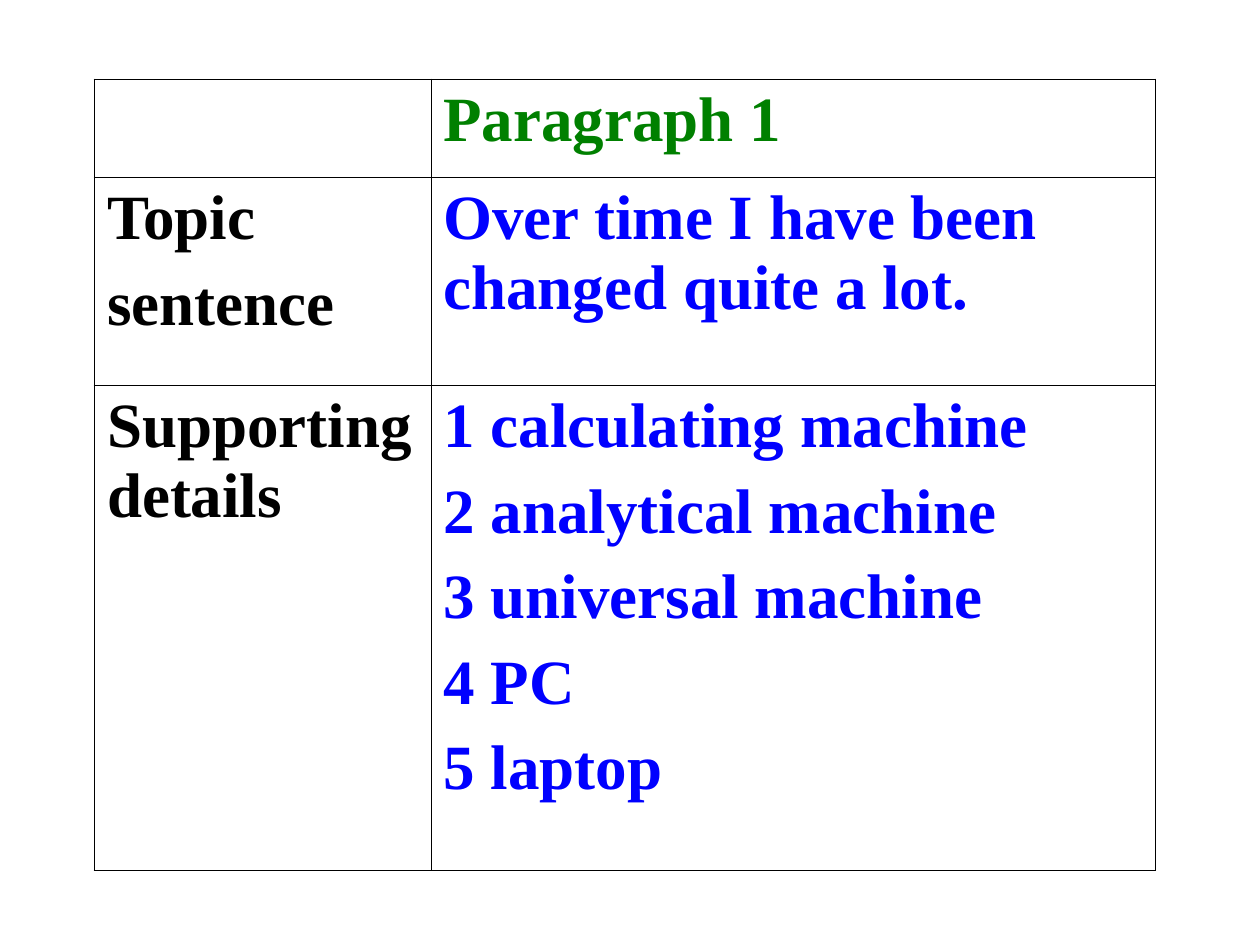
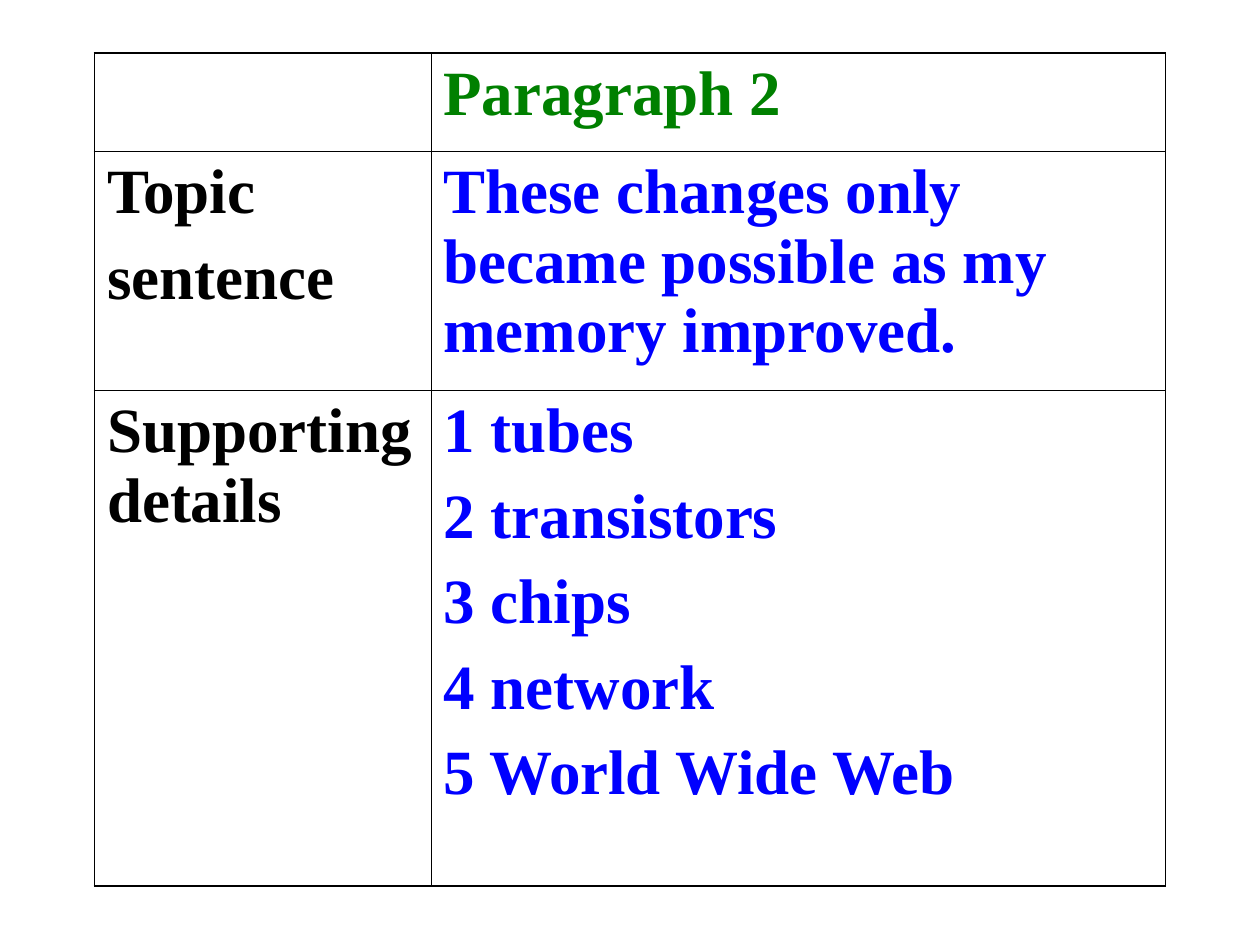
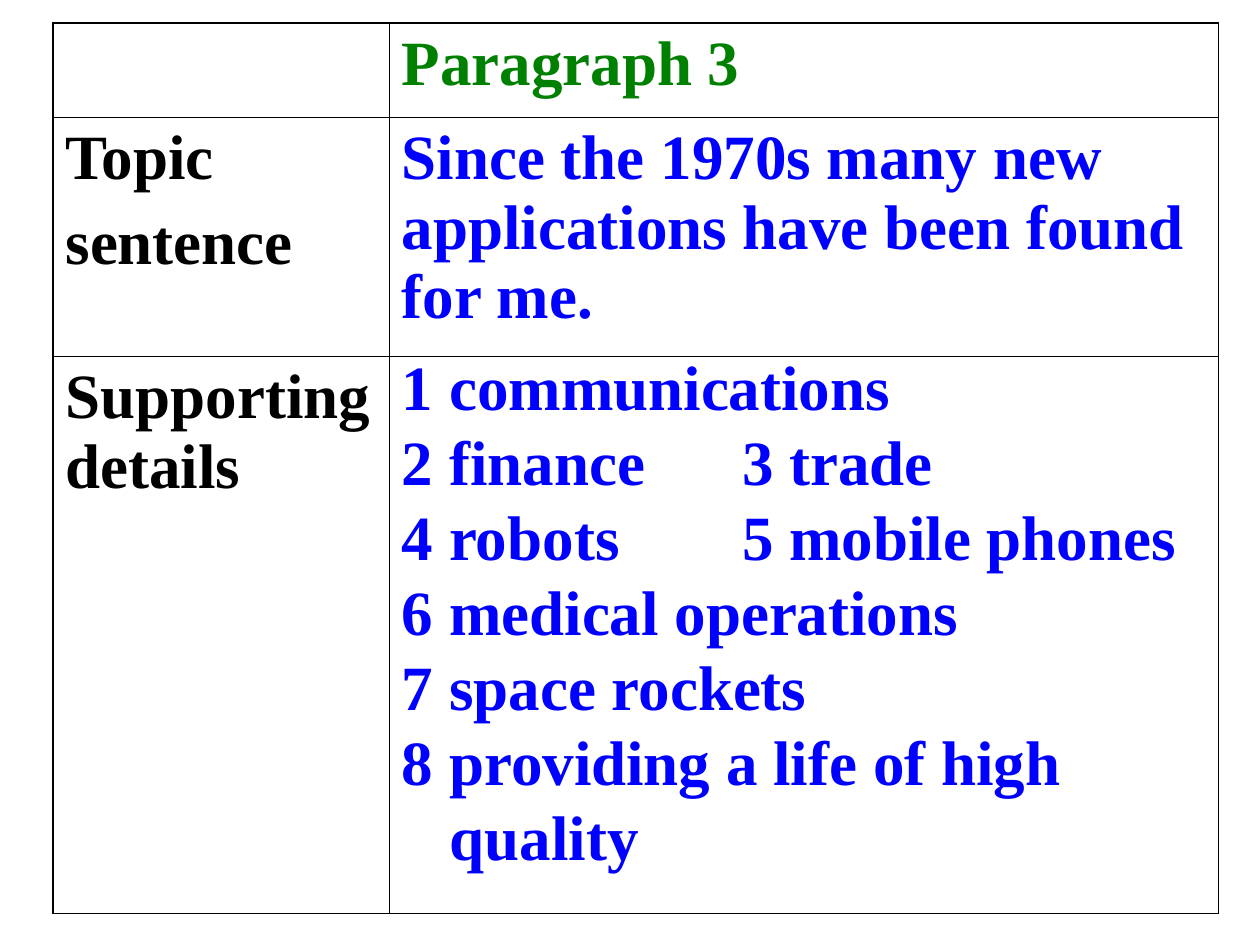
from lxml import etree
from pptx import Presentation
from pptx.dml.color import RGBColor
from pptx.oxml.ns import qn
from pptx.util import Inches, Pt

BLACK = RGBColor(0x00, 0x00, 0x00)
GREEN = RGBColor(0x00, 0x80, 0x00)
BLUE = RGBColor(0x00, 0x00, 0xFF)
FONT = "Times New Roman"
SIZE = Pt(36)
GAP = Pt(9)
THICK = Pt(1.08)
THIN = Pt(0.45)
LABEL = 2.67
TAB = 2.7
INDENT = 0.38


class Deck:
    def __init__(self):
        self.prs = Presentation()
        self.prs.slide_width = Inches(10)
        self.prs.slide_height = Inches(7.5)
        self.slide = None

    def page(self):
        self.slide = self.prs.slides.add_slide(self.prs.slide_layouts[6])

    def label(self, cell, lines, color, pitch=None):
        frame = cell.text_frame
        for i, line in enumerate(lines):
            para = frame.add_paragraph() if i else frame.paragraphs[0]
            props = para._p.get_or_add_pPr()
            body = line.lstrip("\t")
            if body != line:
                props.set("marL", str(Inches(INDENT)))
            elif "\t" in line:
                tabs = etree.SubElement(props, qn("a:tabLst"))
                etree.SubElement(tabs, qn("a:tab"), pos=str(Inches(TAB)), algn="l")
            para.text = body
            para.space_before = GAP if i else Pt(0)
            if pitch:
                para.line_spacing = pitch
            font = para.font
            font.name, font.size, font.bold = FONT, SIZE, True
            font.color.rgb = color

    def border(self, cell, outer):
        props = cell._tc.get_or_add_tcPr()
        for side in "LRTB":
            width = THICK if side in outer else THIN
            line = etree.SubElement(props, qn(f"a:ln{side}"), w=str(width))
            fill = etree.SubElement(line, qn("a:solidFill"))
            etree.SubElement(fill, qn("a:srgbClr"), val=str(BLACK))
        cell.fill.background()

    def grid(self, left, top, width, rows, head, topic, details, pitch=None):
        table = self.slide.shapes.add_table(
            len(rows), 2, Inches(left), Inches(top), Inches(width), Inches(sum(rows))
        ).table
        table.first_row = table.horz_banding = False
        for col, size in zip(table.columns, (LABEL, width - LABEL)):
            col.width = Inches(size)
        for row, size in zip(table.rows, rows):
            row.height = Inches(size)
        for r in range(len(rows)):
            for c, side in enumerate("LR"):
                edge = {0: "T", len(rows) - 1: "B"}.get(r, "")
                self.border(table.cell(r, c), side + edge)
        self.label(table.cell(0, 1), [head], GREEN)
        self.label(table.cell(1, 0), ["Topic", "sentence"], BLACK)
        self.label(table.cell(1, 1), [topic], BLUE)
        self.label(table.cell(2, 0), ["Supporting details"], BLACK)
        self.label(table.cell(2, 1), details, BLUE, pitch)


def main():
    deck = Deck()

    deck.page()
    deck.grid(
        0.75, 0.63, 8.42, (0.78, 1.65, 3.85),
        "Paragraph 1",
        "Over time I have been changed quite a lot.",
        ["1 calculating machine", "2 analytical machine",
         "3 universal machine", "4 PC", "5 laptop"],
    )

    deck.page()
    deck.grid(
        0.75, 0.42, 8.5, (0.78, 1.9, 3.93),
        "Paragraph 2",
        "These changes only became possible as my memory improved.",
        ["1 tubes", "2 transistors", "3 chips", "4 network", "5 World Wide Web"],
    )

    deck.page()
    deck.grid(
        0.42, 0.18, 9.25, (0.75, 1.9, 4.42),
        "Paragraph 3",
        "Since the 1970s many new applications have been found for me.",
        ["1 communications", "2 finance\t3 trade", "4 robots\t5 mobile phones",
         "6 medical operations", "7 space rockets",
         "8 providing a life of high", "\tquality"],
        0.85,
    )

    deck.prs.save("out.pptx")


if __name__ == "__main__":
    main()
